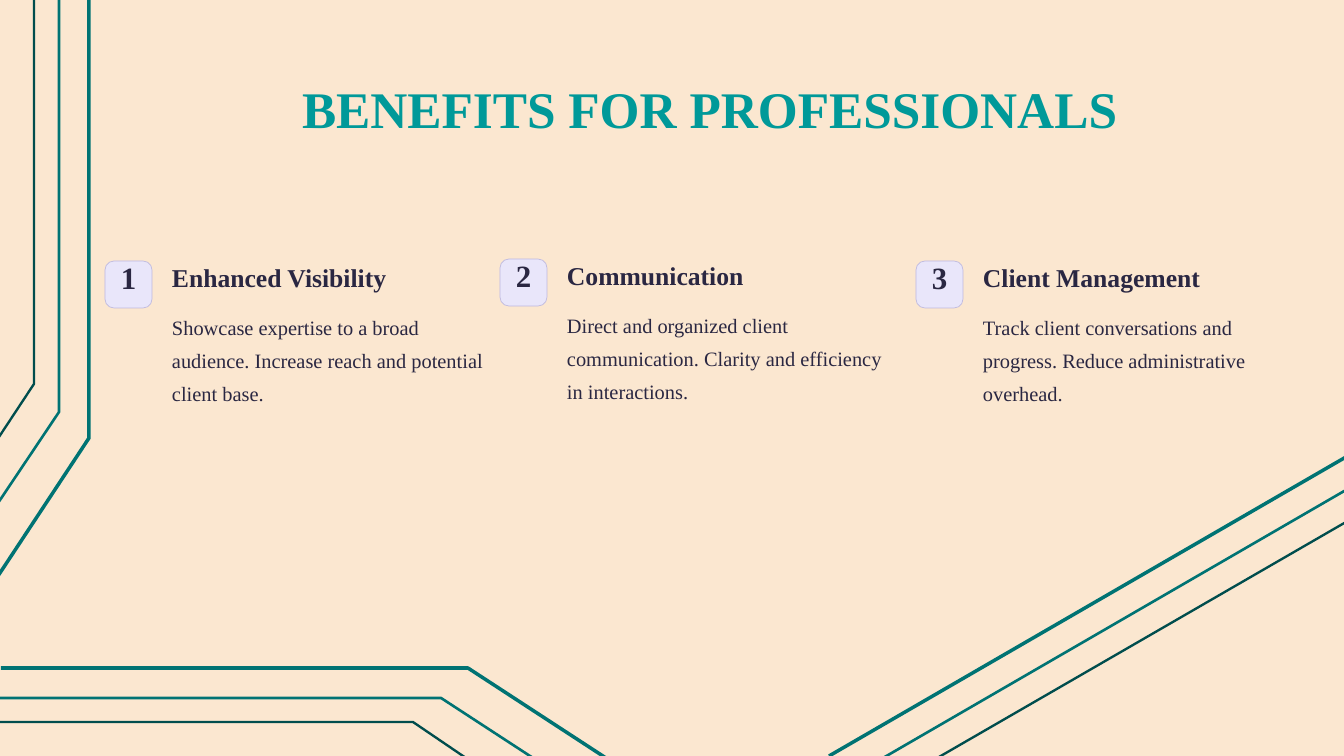
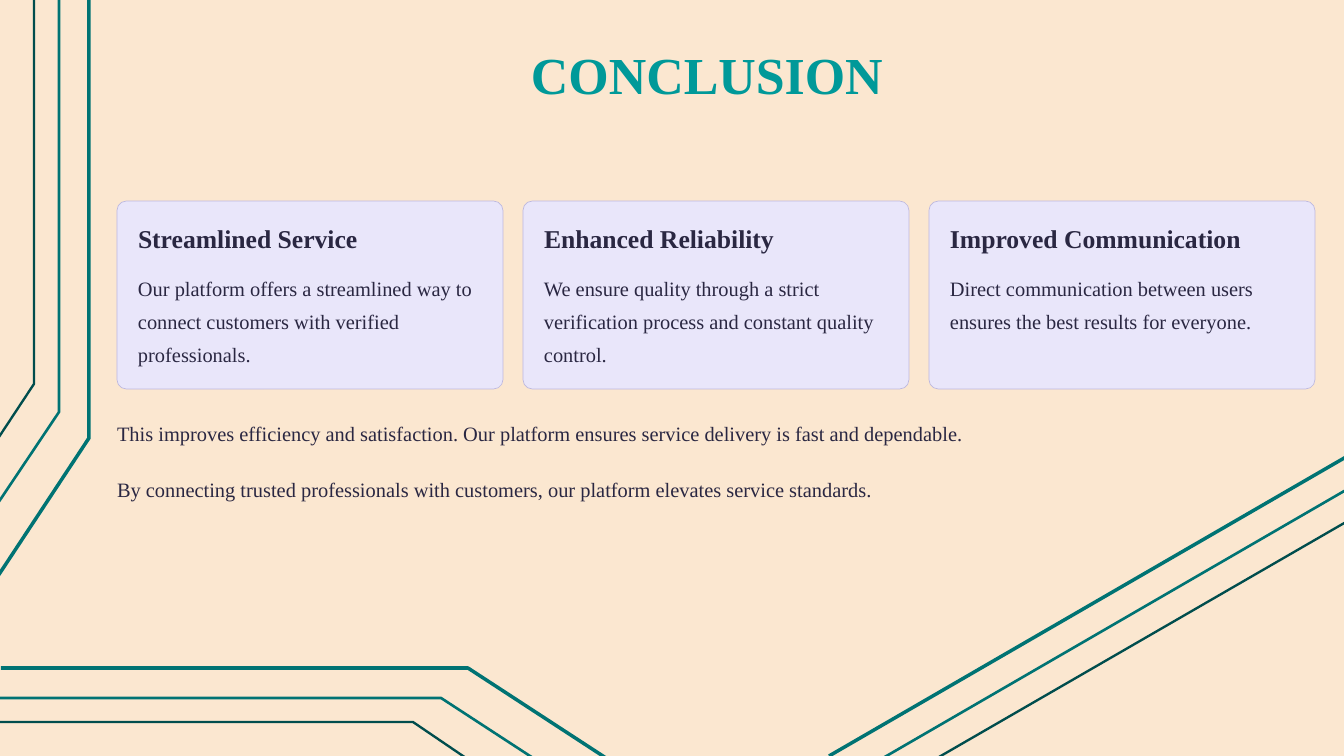
from lxml.etree import SubElement as Sub
from pptx import Presentation
from pptx.dml.color import RGBColor as RGB
from pptx.enum.shapes import MSO_CONNECTOR as Conn, MSO_SHAPE as Shape
from pptx.enum.text import PP_ALIGN as Align
from pptx.oxml.ns import qn
from pptx.util import Emu, Pt

PX = 914400 / 84
WIDE, HIGH = 1344, 756

SAND = RGB(0xFB, 0xE7, 0xD0)
TEAL = RGB(0x00, 0x99, 0x99)
PINE = RGB(0x00, 0x73, 0x73)
DARK = RGB(0x00, 0x4D, 0x4D)
LILAC = RGB(0xE9, 0xE6, 0xFA)
EDGE = RGB(0xBD, 0xB8, 0xDF)
INK = RGB(0x2A, 0x27, 0x42)

FONT = "Times New Roman"
STYLES = {
    "title": ({"size": Pt(44), "bold": True}, TEAL, 55.5, Align.LEFT),
    "number": ({"size": Pt(26.5), "bold": True}, INK, 26.5, Align.CENTER),
    "head": ({"size": Pt(22), "bold": True}, INK, 27.5, Align.LEFT),
    "body": ({"size": Pt(17.5), "bold": False}, INK, 28.5, Align.LEFT),
}

PENS = [(PINE, 3), (PINE, 2.25), (DARK, 2)]
BENDS = [
    [[(-2, 576), (89, 438), (89, 0)],
     [(-2, 503), (59, 412), (59, 0)],
     [(-1, 437), (34, 384), (34, 0)]],
    [[(606, 758), (468, 668), (1, 668)],
     [(533, 758), (441, 698), (0, 698)],
     [(466, 758), (413, 722), (0, 722)]],
]
RAYS = [(829, 756, 1346, 457), (883, 758, 1346, 490), (939, 757, 1346, 522)]

GAINS = [
    (105, 261, "Enhanced Visibility",
     "Showcase expertise to a broad audience. Increase reach and potential client base."),
    (500, 259, "Communication",
     "Direct and organized client communication. Clarity and efficiency in interactions."),
    (916, 261, "Client Management",
     "Track client conversations and progress. Reduce administrative overhead."),
]
CARDS = [
    ("Streamlined Service",
     "Our platform offers a streamlined way to connect customers with verified professionals."),
    ("Enhanced Reliability",
     "We ensure quality through a strict verification process and constant quality control."),
    ("Improved Communication",
     "Direct communication between users ensures the best results for everyone."),
]
NOTES = [
    "This improves efficiency and satisfaction. Our platform ensures service delivery is fast and dependable.",
    "By connecting trusted professionals with customers, our platform elevates service standards.",
]


def emu(*vals):
    return [Emu(round(v * PX)) for v in vals]


def write(slide, text, style, *box):
    looks, color, lead, align = STYLES[style]
    frame = slide.shapes.add_textbox(*emu(*box)).text_frame
    frame.word_wrap = True
    for side in ("left", "top", "right", "bottom"):
        setattr(frame, f"margin_{side}", 0)
    para = frame.paragraphs[0]
    para.alignment, para.line_spacing = align, Pt(lead)
    run = para.add_run()
    run.text = text
    for key, val in {"name": FONT, **looks}.items():
        setattr(run.font, key, val)
    run.font.color.rgb = color
    return run


def panel(slide, round_by, *box):
    shape = slide.shapes.add_shape(Shape.ROUNDED_RECTANGLE, *emu(*box))
    shape.adjustments[0] = round_by
    shape.shadow.inherit = False
    shape.fill.solid()
    shape.fill.fore_color.rgb = LILAC
    ink(shape, EDGE, 0.6)


def ink(shape, color, width):
    shape.line.color.rgb = color
    shape.line.width = Pt(width)


def frame_lines(slide):
    for group in BENDS:
        for (start, *rest), pen in zip(group, PENS):
            path = slide.shapes.build_freeform(*start, scale=PX)
            path.add_line_segments(rest, close=False)
            bend = path.convert_to_shape()
            bend.fill.background()
            bend.shadow.inherit = False
            ink(bend, *pen)
    for ends, pen in zip(RAYS, PENS):
        ray = slide.shapes.add_connector(Conn.STRAIGHT, *emu(*ends))
        ink(ray, *pen)
        Sub(ray._element.spPr, qn("a:effectLst"))


def start(deck, title, *box):
    slide = deck.slides.add_slide(deck.slide_layouts[6])
    frame_lines(slide)
    return slide, write(slide, title, "title", *box)


def gains(deck):
    slide, _ = start(deck, "BENEFITS FOR PROFESSIONALS", 302, 74, 820, 66)
    for num, (x, y, head, body) in enumerate(GAINS, 1):
        panel(slide, 0.19, x, y, 47, 47)
        write(slide, str(num), "number", x + 8, y + 4, 31, 39)
        write(slide, head, "head", x + 67, y, 260, 33)
        write(slide, body, "body", x + 67, y + 45, 318, 100)


def close(deck):
    slide, run = start(deck, "CONCLUSION", 531, 40, 360, 66)
    run.font.size = Pt(44.5)
    left, top, wide, high, gap, pad = 117, 201, 386, 188, 20, 21
    for i, (head, body) in enumerate(CARDS):
        x = left + i * (wide + gap)
        panel(slide, 0.05, x, top, wide, high)
        write(slide, head, "head", x + pad, top + pad, 313, 33)
        write(slide, body, "body", x + pad, top + 66, wide - 2 * pad, 100)
    for i, note in enumerate(NOTES):
        write(slide, note, "body", left, 412 + 56 * i, 1198, 34)


def main():
    deck = Presentation()
    deck.slide_width, deck.slide_height = emu(WIDE, HIGH)
    back = deck.slide_master.background.fill
    back.solid()
    back.fore_color.rgb = SAND
    gains(deck)
    close(deck)
    deck.save("out.pptx")


if __name__ == "__main__":
    main()
